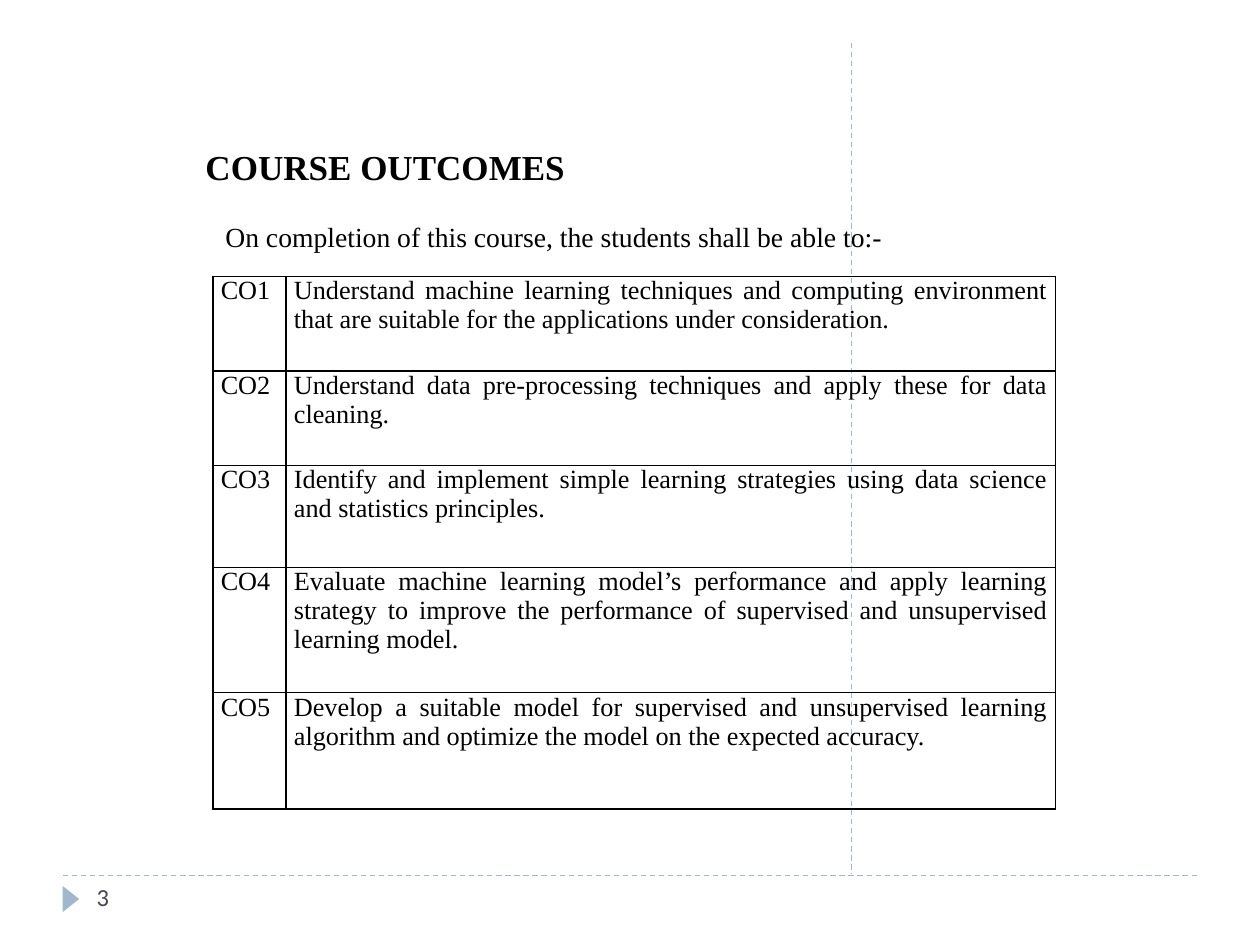
"""Build the course outcomes slide."""
from lxml import etree
from pptx import Presentation
from pptx import util as u
from pptx.dml.color import RGBColor
from pptx.enum import dml, shapes, text
from pptx.oxml import ns

COLORS = {"ink": "000000", "accent": "9FB8CD", "number": "464653"}
SERIF = "Times New Roman"
OUTCOMES = [
    (54, "Understand machine learning techniques and computing environment "
         "that are suitable for the applications under consideration."),
    (54, "Understand data pre-processing techniques and apply these for data cleaning."),
    (58.5, "Identify and implement simple learning strategies using data science "
           "and statistics principles."),
    (71.5, "Evaluate machine learning model’s performance and apply learning strategy "
           "to improve the performance of supervised and unsupervised learning model."),
    (66.5, "Develop a suitable model for supervised and unsupervised learning algorithm "
           "and optimize the model on the expected accuracy."),
]


def write(frame, words, size, font=SERIF, color="ink", bold=False, align=text.PP_ALIGN.LEFT):
    """Fill a text frame with one formatted paragraph."""
    paragraph = frame.paragraphs[0]
    paragraph.alignment = align
    run = paragraph.add_run()
    run.text = words
    run.font.size = u.Pt(size)
    run.font.name = font
    run.font.bold = bold
    run.font.color.rgb = RGBColor.from_string(COLORS[color])


class SlideBuilder:
    """Hold the style and the current slide."""

    def __init__(self, presentation):
        """Add a slide that has only a title."""
        self.slide = presentation.slides.add_slide(presentation.slide_layouts[5])

    def title(self, words, left, top, width, height):
        """Place and fill the title placeholder."""
        shape = self.slide.shapes.title
        shape.left, shape.top, shape.width, shape.height = map(u.Pt, (left, top, width, height))
        shape.text_frame.vertical_anchor = text.MSO_ANCHOR.BOTTOM
        write(shape.text_frame, words, 20, bold=True)

    def textbox(self, words, left, top, width, height, wrap=True, **style):
        """Add a text box."""
        shape = self.slide.shapes.add_textbox(*map(u.Pt, (left, top, width, height)))
        shape.text_frame.word_wrap = wrap
        write(shape.text_frame, words, **style)

    def dashed_line(self, *ends):
        """Add a thin dashed line."""
        line = self.slide.shapes.add_connector(shapes.MSO_CONNECTOR.STRAIGHT, *map(u.Pt, ends))
        line.line.color.rgb = RGBColor.from_string(COLORS["accent"])
        line.line.width = u.Pt(0.75)
        line.line.dash_style = dml.MSO_LINE.DASH
        properties = line._element.find(ns.qn("p:spPr"))
        etree.SubElement(properties, ns.qn("a:effectLst"))

    def marker(self, left, top, width, height):
        """Add a triangle that points right."""
        shape = self.slide.shapes.add_shape(
            shapes.MSO_SHAPE.ISOSCELES_TRIANGLE, *map(u.Pt, (left, top, width, height)))
        shape.rotation = 90
        shape.shadow.inherit = False
        shape.fill.solid()
        shape.fill.fore_color.rgb = RGBColor.from_string(COLORS["accent"])
        shape.line.fill.background()

    def cell(self, cell, words, align):
        """Fill one bordered table cell."""
        cell.margin_left = cell.margin_right = u.Pt(4.5)
        cell.margin_top = cell.margin_bottom = 0
        cell.fill.background()
        properties = cell._tc.get_or_add_tcPr()
        for index, side in enumerate(("lnL", "lnR", "lnT", "lnB")):
            border = etree.Element(ns.qn(f"a:{side}"), w=str(u.Pt(1)))
            fill = etree.SubElement(border, ns.qn("a:solidFill"))
            etree.SubElement(fill, ns.qn("a:srgbClr"), val=COLORS["ink"])
            properties.insert(index, border)
        write(cell.text_frame, words, 15, align=align)

    def outcome_table(self, outcomes, left, top, widths):
        """Add the table of numbered outcomes."""
        height = sum(row_height for row_height, _ in outcomes)
        table = self.slide.shapes.add_table(
            len(outcomes), len(widths), *map(u.Pt, (left, top, sum(widths), height))).table
        table.first_row = table.horz_banding = False
        for column, width in zip(table.columns, widths):
            column.width = u.Pt(width)
        for index, (row_height, words) in enumerate(outcomes):
            table.rows[index].height = u.Pt(row_height)
            self.cell(table.cell(index, 0), f"CO{index + 1}", text.PP_ALIGN.LEFT)
            self.cell(table.cell(index, 1), words, text.PP_ALIGN.JUSTIFY)


def main():
    """Build and save the slide."""
    presentation = Presentation()
    presentation.slide_width, presentation.slide_height = u.Pt(720), u.Pt(540)
    builder = SlideBuilder(presentation)
    builder.dashed_line(36, 500.4, 684, 500.4)
    builder.dashed_line(486.7, 24.5, 486.7, 499.7)
    builder.marker(33, 509, 15, 9.5)
    builder.title("COURSE OUTCOMES", 110.2, 79.2, 492.5, 31.7)
    builder.textbox("3", 48.2, 500.4, 156.2, 28.8, size=14, font="Calibri", color="number")
    builder.textbox("On completion of this course, the students shall be able to:-",
                    121.7, 122.4, 393, 26.6, wrap=False, size=15.8)
    builder.outcome_table(OUTCOMES, 121.7, 157.9, (41.8, 439.7))
    presentation.save("out.pptx")


if __name__ == "__main__":
    main()
